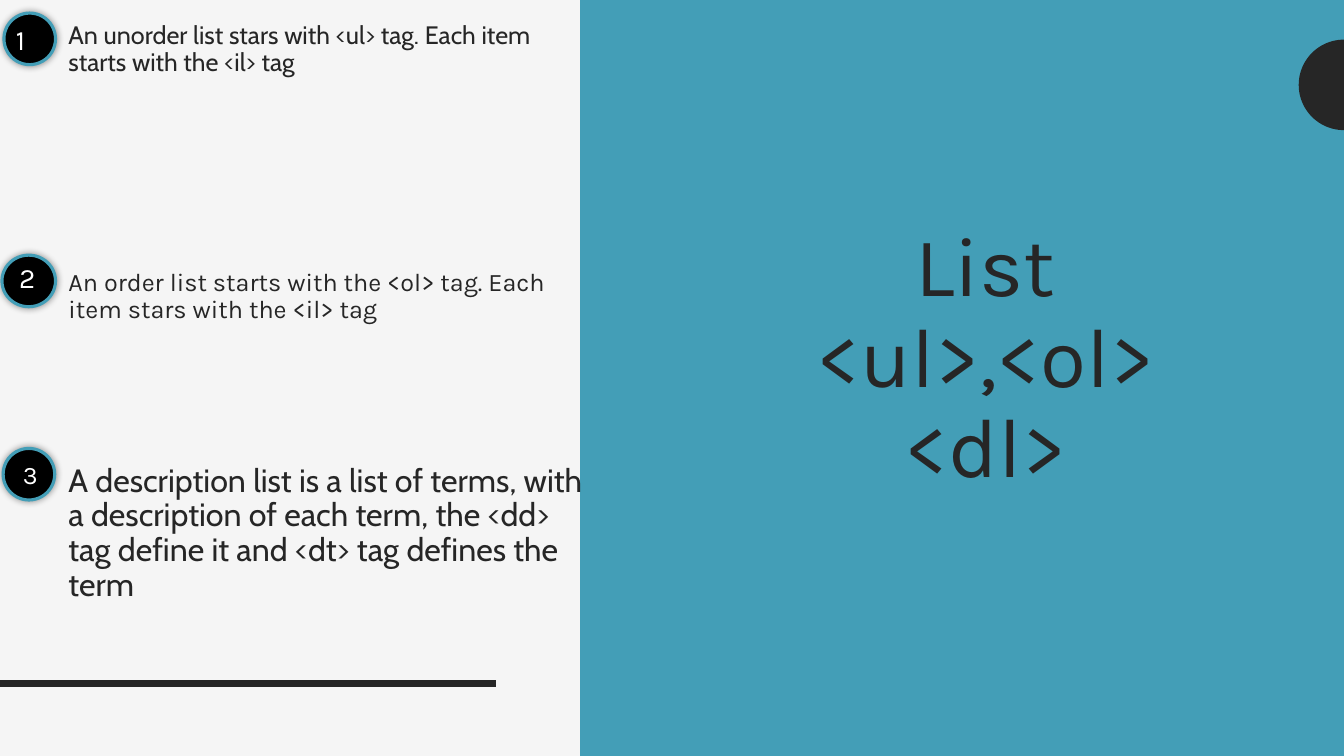
import math

from lxml import etree
from pptx import Presentation
from pptx.dml.color import RGBColor
from pptx.enum.shapes import MSO_CONNECTOR, MSO_SHAPE
from pptx.enum.text import MSO_ANCHOR, MSO_AUTO_SIZE, PP_ALIGN
from pptx.oxml.ns import qn
from pptx.util import Cm, Pt

RECTANGLE, OVAL = MSO_SHAPE.RECTANGLE, MSO_SHAPE.OVAL
STRAIGHT = MSO_CONNECTOR.STRAIGHT
TOP = MSO_ANCHOR.TOP
CENTER, LEFT = PP_ALIGN.CENTER, PP_ALIGN.LEFT
NO_FIT = MSO_AUTO_SIZE.NONE

DARK, TEAL, PAPER, BLACK, WHITE = "262626", "439EB7", "F5F5F5", "000000", "FFFFFF"

# Content: "\v" is a line break
TITLE = "List <ul>,<ol>\v<dl>"
# text, font, size, space before (points)
ITEMS = [
    ("An unorder list stars with <ul> tag. Each item starts with the <il> tag", "Cabin", 18, 0),
    ("An order list starts with the <ol> tag. Each item stars with the <il> tag", "Karla", 18, 138),
    ("A description list is a list of terms, with a description of each term, "
     "the <dd> tag define it and <dt> tag defines the term", "Cabin", 23, 100),
]
# number, size, circle box, text box (left, top, width, height in cm)
BADGES = [
    ("1", 20, (0.1, 0.33, 1.3, 1.3), (0.15, 0.43, 1.32, 1.11)),
    ("2", 20, (0.05, 6.43, 1.35, 1.3), (0.23, 6.43, 0.97, 1.11)),
    ("3", 18, (0.08, 11.3, 1.3, 1.3), (0.33, 11.46, 1.07, 1.02)),
]
SLIDE_WIDTH, SLIDE_HEIGHT = 33.87, 19.05
PANEL_LEFT = 14.62
DOT_CENTER_Y, DOT_RADIUS, DOT_STEPS = 2.14, 1.14, 48


def color(value):
    return RGBColor.from_string(value)


def lengths(box):
    return [Cm(value) for value in box]


def paint(shape, fill, line=None, width=0):
    shape.fill.solid()
    shape.fill.fore_color.rgb = color(fill)
    shape.shadow.inherit = False
    if line:
        shape.line.color.rgb = color(line)
        shape.line.width = Pt(width)
    else:
        shape.line.fill.background()


def style(paragraph, font, size, text_color):
    for run in paragraph.runs:
        run.font.name = font
        run.font.size = Pt(size)
        run.font.color.rgb = color(text_color)


def place(placeholder, box):
    placeholder.left, placeholder.top, placeholder.width, placeholder.height = lengths(box)
    # Bring the placeholder in front of the shapes drawn so far
    placeholder.element.getparent().append(placeholder.element)
    frame = placeholder.text_frame
    frame.word_wrap = True
    frame.auto_size = NO_FIT
    frame.vertical_anchor = TOP
    return frame


def add_glow(shape):
    effects = shape.element.spPr.find(qn("a:effectLst"))
    shadow = etree.SubElement(effects, qn("a:outerShdw"), blurRad=str(Pt(5)), dist="0", dir="0")
    shade = etree.SubElement(shadow, qn("a:srgbClr"), val=BLACK)
    etree.SubElement(shade, qn("a:alpha"), val="40000")


presentation = Presentation()
presentation.slide_width, presentation.slide_height = Cm(SLIDE_WIDTH), Cm(SLIDE_HEIGHT)
slide = presentation.slides.add_slide(presentation.slide_layouts[1])
slide.background.fill.solid()
slide.background.fill.fore_color.rgb = color(PAPER)
shapes = slide.shapes

# Rule at the lower left
rule = shapes.add_connector(STRAIGHT, *lengths((0, 17.22, 12.5, 17.22)))
rule.line.color.rgb = color(DARK)
rule.line.width = Pt(4.5)
etree.SubElement(rule.element.spPr, qn("a:effectLst"))

# Right panel with the half dot on its edge
panel = shapes.add_shape(
    RECTANGLE, *lengths((PANEL_LEFT, 0, SLIDE_WIDTH - PANEL_LEFT, SLIDE_HEIGHT)))
paint(panel, TEAL)
angles = [math.pi * step / DOT_STEPS for step in range(DOT_STEPS + 1)]
outline = [(Cm(SLIDE_WIDTH - DOT_RADIUS * math.sin(angle)),
            Cm(DOT_CENTER_Y - DOT_RADIUS * math.cos(angle))) for angle in angles]
builder = shapes.build_freeform(*outline[0])
builder.add_line_segments(outline[1:], close=True)
paint(builder.convert_to_shape(), DARK)

# Title
frame = place(shapes.title, (18.8, 5.51, 12.07, 8.05))
frame.text = TITLE
heading = frame.paragraphs[0]
heading.alignment = CENTER
heading.line_spacing = 0.9
style(heading, "Karla", 60, DARK)

# List items
frame = place(slide.placeholders[1], (1.47, 0.56, 13.59, 16.71))
frame.margin_top = 0
frame.text = "\n".join(item[0] for item in ITEMS)
for paragraph, (_, font, size, before) in zip(frame.paragraphs, ITEMS):
    properties = paragraph._p.get_or_add_pPr()
    properties.set("marL", "0")
    properties.set("indent", "0")
    etree.SubElement(properties, qn("a:buNone"))
    paragraph.alignment = LEFT
    paragraph.line_spacing = 0.9
    paragraph.space_before = Pt(before)
    paragraph.space_after = Pt(0)
    style(paragraph, font, size, DARK)

# Numbered badges
for number, size, circle_box, text_box in BADGES:
    circle = shapes.add_shape(OVAL, *lengths(circle_box))
    paint(circle, BLACK, TEAL, 2.25)
    add_glow(circle)
    label = shapes.add_textbox(*lengths(text_box))
    label.text_frame.word_wrap = True
    label.text_frame.text = number
    style(label.text_frame.paragraphs[0], "Karla", size, WHITE)

presentation.save("out.pptx")
